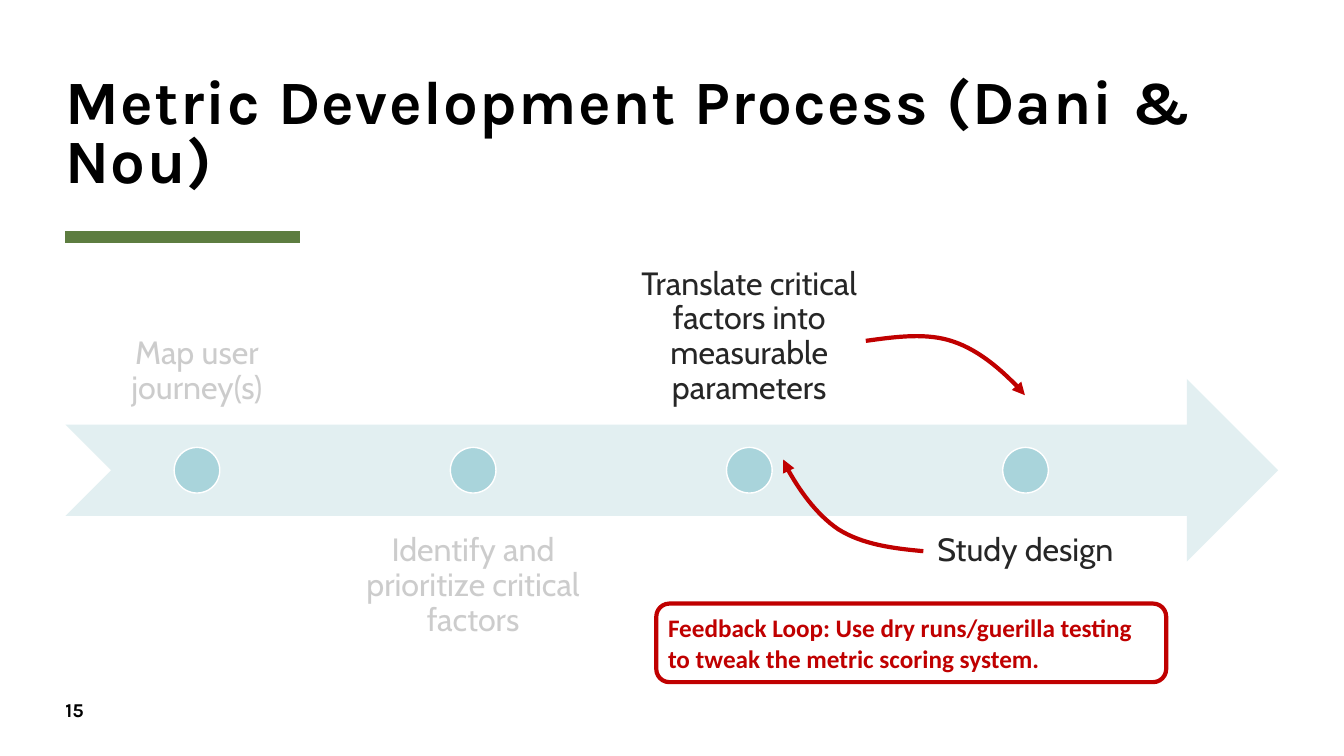
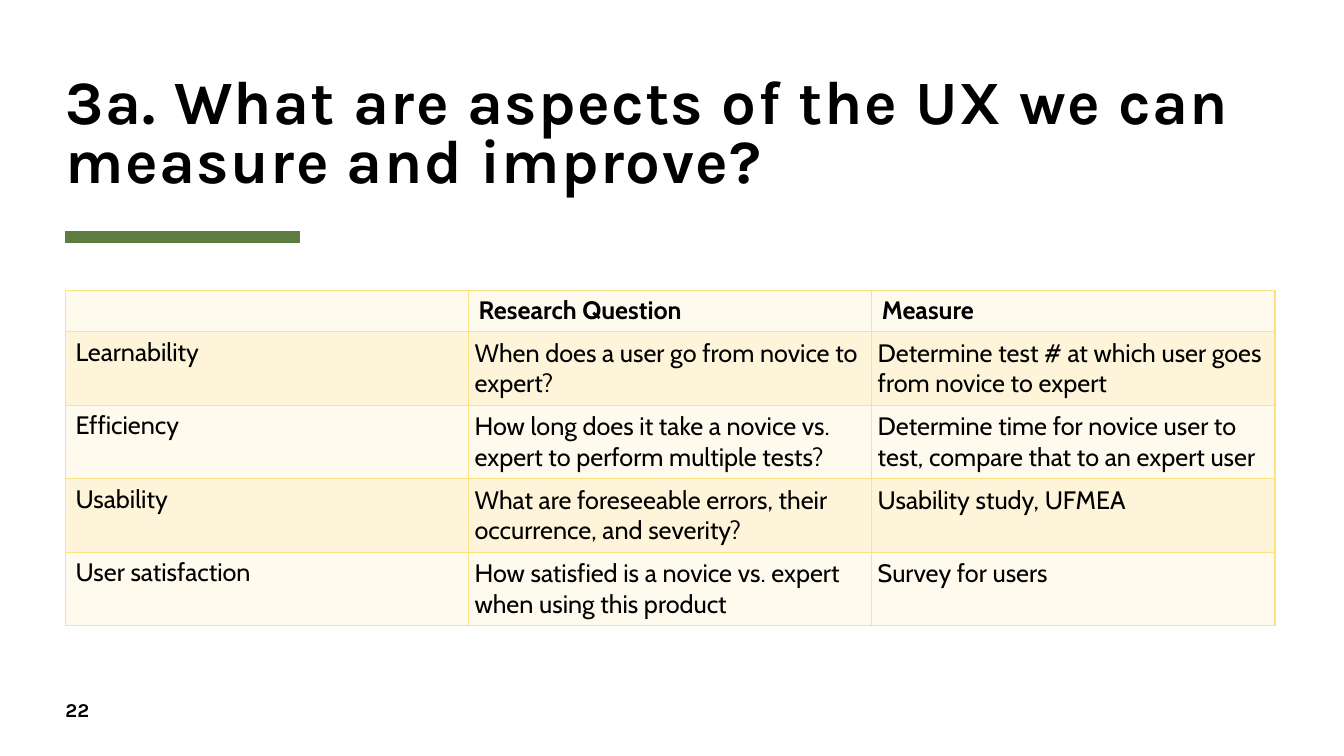
import pptx
import pptx.dml.color
import pptx.enum.shapes
import pptx.enum.text
import pptx.oxml
import pptx.oxml.ns
import pptx.util

Cm, Pt = pptx.util.Cm, pptx.util.Pt
SHAPE = pptx.enum.shapes.MSO_SHAPE
ALIGN = pptx.enum.text.PP_ALIGN
ANCHOR = pptx.enum.text.MSO_ANCHOR
qn = pptx.oxml.ns.qn
DRAWING_NS = pptx.oxml.ns.nsdecls("a")

LEFT, CONTENT_WIDTH = 1.65, 30.48
WHITE, GREEN, RED = "FFFFFF", "5D7D40", "C00000"
BAND, DOT = "E2EFF1", "A9D4DB"
TABLE_LINE, ROW_FILLS = "FBE284", ("FEFAED", "FDF4D9")

TITLE_FONT = {"name": "Karla", "size": Pt(44), "bold": True, "color": "000000"}
NUMBER_FONT = TITLE_FONT | {"size": Pt(14)}
STEP_FONT = {"name": "Cabin", "size": Pt(23), "color": "262626"}
FEEDBACK_FONT = {"name": "Calibri", "size": Pt(18), "bold": True, "color": RED}
CELL_FONT = {"name": "Cabin", "size": Pt(18), "bold": False, "color": "000000"}

STEPS = [
    "Map user journey(s)",
    "Identify and prioritize critical factors",
    "Translate critical factors into measurable parameters",
    "Study design",
]
FORWARD_CURVE = [(20.17, -0.96), (20.96, -1.07), (21.72, -1.17), (22.38, -0.94),
                 (23.06, -0.71), (23.95, 0.1), (24.18, 0.41)]
RETURN_CURVE = [(21.62, 4.34), (20.85, 4.27), (20.09, 4.17), (19.48, 3.79),
                (18.9, 3.4), (18.21, 2.39), (18.09, 2.03)]
MEASURES = [
    ("", "Research Question", "Measure"),
    ("Learnability", "When does a user go from novice to expert?",
     "Determine test # at which user goes from novice to expert"),
    ("Efficiency", "How long does it take a novice vs. expert to perform multiple tests?",
     "Determine time for novice user to test, compare that to an expert user"),
    ("Usability", "What are foreseeable errors, their occurrence, and severity?",
     "Usability study, UFMEA"),
    ("User satisfaction", "How satisfied is a novice vs. expert when using this product",
     "Survey for users"),
]


def rgb(color):
    return pptx.dml.color.RGBColor.from_string(color)


def set_text(frame, text, font, align=ALIGN.LEFT, spacing=1.0, margin=0, **settings):
    frame.text = text
    frame.word_wrap = True
    frame.auto_size = pptx.enum.text.MSO_AUTO_SIZE.NONE
    sides = ("margin_left", "margin_top", "margin_right", "margin_bottom")
    for name, value in (dict.fromkeys(sides, Cm(margin)) | settings).items():
        setattr(frame, name, value)
    para = frame.paragraphs[0]
    para.alignment, para.line_spacing = align, spacing
    for span in para.runs:
        set_font(span.font, font)


def set_font(font, values):
    for name, value in values.items():
        if name == "color":
            font.color.rgb = rgb(value)
        else:
            setattr(font, name, value)


def add_text(page, left, top, width, height, text, font, **settings):
    box = page.shapes.add_textbox(Cm(left), Cm(top), Cm(width), Cm(height))
    set_text(box.text_frame, text, font, **settings)


def set_line(shape, color, width):
    shape.line.color.rgb = rgb(color)
    shape.line.width = Pt(width)


def add_shape(page, kind, left, top, width, height, fill, line=None, line_width=1):
    shape = page.shapes.add_shape(kind, Cm(left), Cm(top), Cm(width), Cm(height))
    shape.shadow.inherit = False
    shape.fill.solid()
    shape.fill.fore_color.rgb = rgb(fill)
    if line:
        set_line(shape, line, line_width)
    else:
        shape.line.fill.background()
    return shape


def add_page(deck, title, number):
    """Add a page with the shared title, green rule and page number."""
    page = deck.slides.add_slide(deck.slide_layouts[5])
    rule = page.shapes.add_connector(
        pptx.enum.shapes.MSO_CONNECTOR.STRAIGHT,
        Cm(LEFT), Cm(5.97), Cm(LEFT + 5.92), Cm(5.97))
    set_line(rule, GREEN, 8)
    rule.element.spPr.append(pptx.oxml.parse_xml(f"<a:effectLst {DRAWING_NS}/>"))

    box = page.shapes.title
    place = {"left": LEFT, "top": 0.56, "width": CONTENT_WIDTH, "height": 4.37}
    for name, value in place.items():
        setattr(box, name, Cm(value))
    set_text(box.text_frame, title, TITLE_FONT, spacing=0.8, vertical_anchor=ANCHOR.BOTTOM)
    for span in box.text_frame.paragraphs[0].runs:
        span.font._element.set("spc", "100")

    add_text(page, LEFT, 17.58, 1.45, 0.69, str(number), NUMBER_FONT)
    return page


def add_curved_arrow(page, left, top, points):
    """Draw Bezier segments through a start point and triples of control points."""
    start, *rest = [(Cm(left + x), Cm(top + y)) for x, y in points]
    builder = page.shapes.build_freeform(*start, scale=1.0)
    builder.add_line_segments(rest, close=False)
    curve = builder.convert_to_shape()
    curve.shadow.inherit = False
    curve.fill.background()
    set_line(curve, RED, 3)
    curve.line._get_or_add_ln().append(
        pptx.oxml.parse_xml(f'<a:tailEnd {DRAWING_NS} type="triangle"/>'))
    outline = curve.element.find(".//" + qn("a:path"))
    lines = outline.findall(qn("a:lnTo"))
    for first in range(0, len(lines), 3):
        segment = pptx.oxml.parse_xml(f"<a:cubicBezTo {DRAWING_NS}/>")
        for line in lines[first:first + 3]:
            segment.append(line[0])
            outline.remove(line)
        outline.append(segment)


def add_veil(page, left, top, width, height):
    """Fade what lies below with translucent white."""
    veil = add_shape(page, SHAPE.RECTANGLE, left, top, width, height, WHITE)
    color = veil.element.spPr.find(qn("a:solidFill"))[0]
    color.append(pptx.oxml.parse_xml(f'<a:alpha {DRAWING_NS} val="77000"/>'))


def add_process(page, left, top, width, height):
    add_shape(page, SHAPE.NOTCHED_RIGHT_ARROW, left, top, width, height, BAND)
    label_width, pitch, dot = 6.63, 6.96, height / 4
    for index, step in enumerate(STEPS):
        label_left = left + index * pitch
        above = index % 2 == 0
        label_top = top + 0.75 * height * (-1 if above else 1)
        add_text(page, label_left, label_top, label_width, height, step, STEP_FONT,
                 align=ALIGN.CENTER, spacing=0.9, margin=0.46,
                 vertical_anchor=ANCHOR.BOTTOM if above else ANCHOR.TOP)
        add_shape(page, SHAPE.OVAL, label_left + (label_width - dot) / 2,
                  top + (height - dot) / 2, dot, dot, DOT, WHITE)

    add_curved_arrow(page, left, top, FORWARD_CURVE)
    feedback = add_shape(page, SHAPE.FLOWCHART_ALTERNATE_PROCESS, left + 14.89, top + 5.66,
                         12.85, 1.98, WHITE, RED, 3)
    set_text(feedback.text_frame,
             "Feedback Loop: Use dry runs/guerilla testing\vto tweak the metric scoring system.",
             FEEDBACK_FONT, margin=0.2, vertical_anchor=ANCHOR.MIDDLE)
    add_veil(page, left + 6.96, top + 3.71, 7.21, 2.77)
    add_veil(page, left + 0.08, top - 2.67, 6.88, 3.48)
    add_curved_arrow(page, left, top, RETURN_CURVE)


def format_cell(cell, text, fill, header, inset):
    cell.text = text
    for span in cell.text_frame.paragraphs[0].runs:
        set_font(span.font, CELL_FONT | {"bold": header})
    if inset:
        for side in ("left", "top", "right", "bottom"):
            setattr(cell, f"margin_{side}", Cm(0.15))
    properties = cell._tc.get_or_add_tcPr()
    for side in "LRTB":
        properties.append(pptx.oxml.parse_xml(
            f'<a:ln{side} {DRAWING_NS} w="12700"><a:solidFill>'
            f'<a:srgbClr val="{TABLE_LINE}"/></a:solidFill></a:ln{side}>'))
    cell.fill.solid()
    cell.fill.fore_color.rgb = rgb(fill)


def add_measures(page, left, top, width):
    header_height, row_height = 1.04, 1.83
    count, columns = len(MEASURES), len(MEASURES[0])
    table = page.shapes.add_table(
        count, columns, Cm(left), Cm(top), Cm(width),
        Cm(header_height + row_height * (count - 1))).table
    table.first_row = table.horz_banding = False
    for column in table.columns:
        column.width = Cm(width / columns)
    for row, texts in enumerate(MEASURES):
        table.rows[row].height = Cm(row_height if row else header_height)
        for column, text in enumerate(texts):
            format_cell(table.cell(row, column), text, ROW_FILLS[row % 2],
                        header=row == 0, inset=row > 0 and column > 0)


def main():
    deck = pptx.Presentation()
    deck.slide_width, deck.slide_height = Cm(33.87), Cm(19.05)
    page = add_page(deck, "Metric Development Process (Dani & Nou)", 15)
    add_process(page, LEFT, 9.55, 30.56, 4.6)
    page = add_page(deck, "3a. What are aspects of the UX we can measure and improve?", 22)
    add_measures(page, LEFT, 7.32, CONTENT_WIDTH)
    deck.save("out.pptx")


if __name__ == "__main__":
    main()
